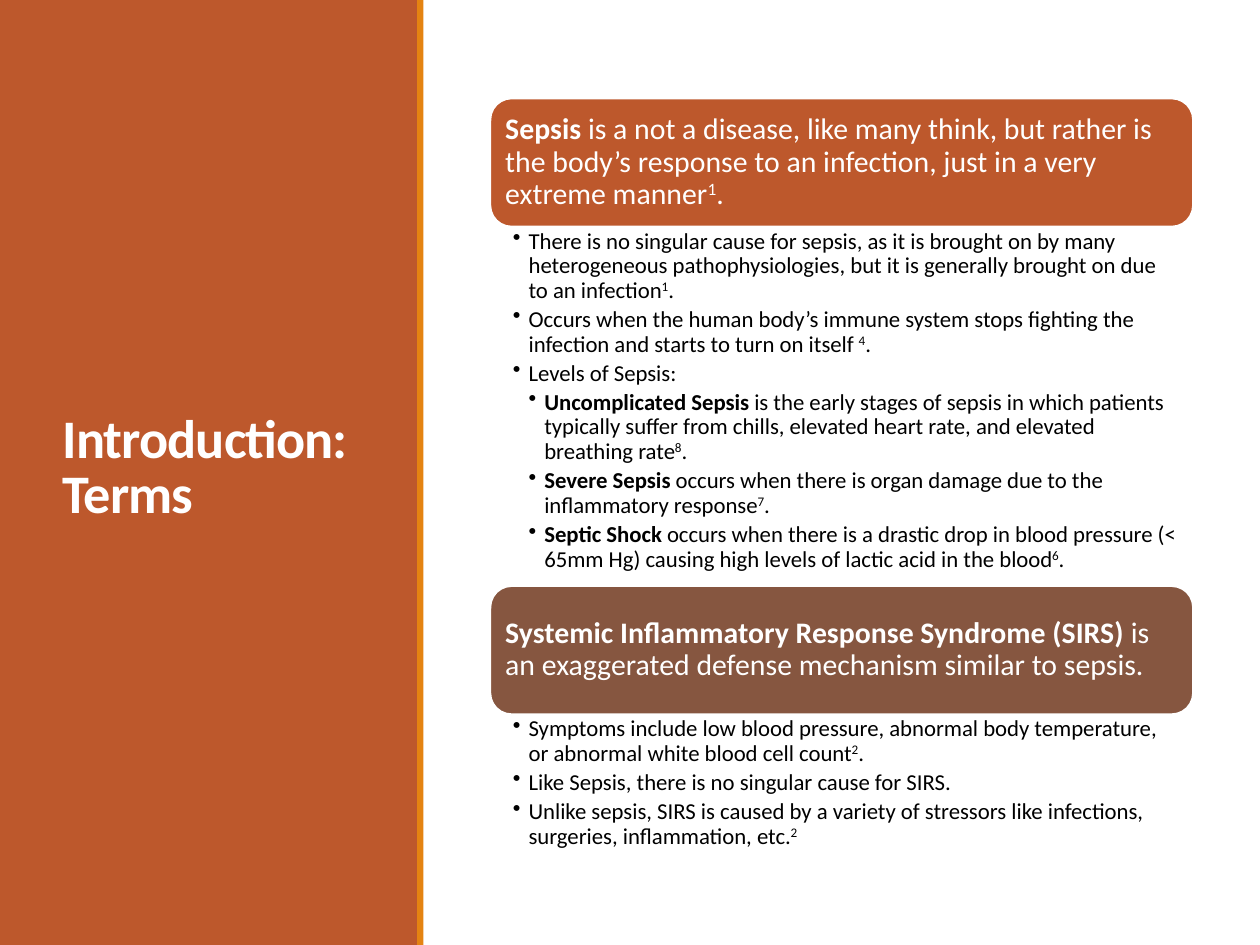
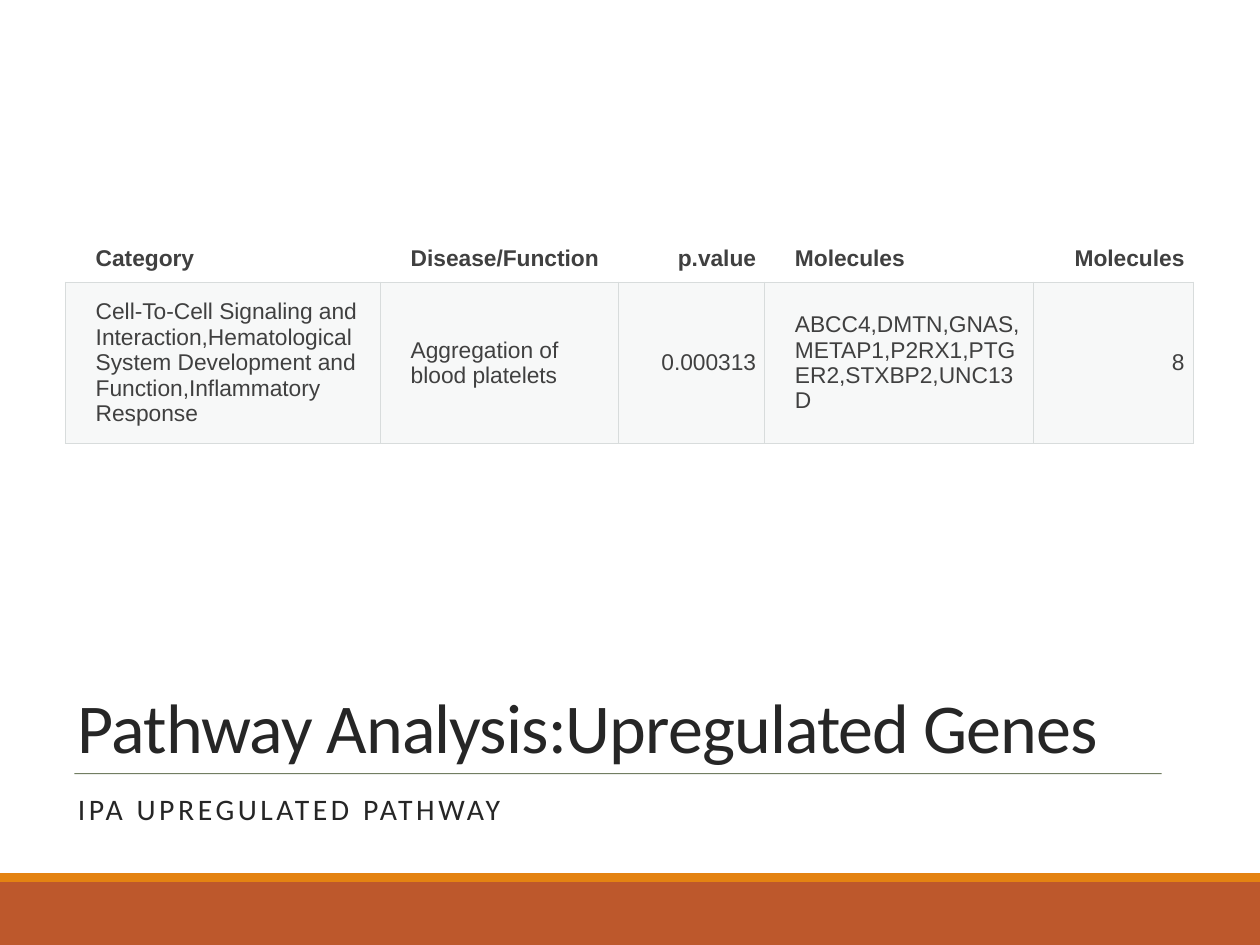
import pptx
import pptx.dml.color
import pptx.enum.shapes
import pptx.enum.text
import pptx.oxml.ns
import pptx.util
from lxml import etree

Inches = pptx.util.Inches
Pt = pptx.util.Pt
RGBColor = pptx.dml.color.RGBColor
Shape = pptx.enum.shapes.MSO_SHAPE
Anchor = pptx.enum.text.MSO_ANCHOR
Align = pptx.enum.text.PP_ALIGN
qn = pptx.oxml.ns.qn

RUST = RGBColor(0xBD, 0x58, 0x2C)
GOLD = RGBColor(0xE4, 0x83, 0x12)
BROWN = RGBColor(0x86, 0x56, 0x40)
WHITE = RGBColor(0xFF, 0xFF, 0xFF)
BLACK = RGBColor(0, 0, 0)
DARK = RGBColor(0x26, 0x26, 0x26)
GRAY = RGBColor(0x40, 0x40, 0x40)
OLIVE = RGBColor(0x63, 0x70, 0x52)
MIST = RGBColor(0xD8, 0xDE, 0xDC)
EDGE = RGBColor(0xD8, 0xDC, 0xDC)

SIDES = ("margin_left", "margin_top", "margin_right", "margin_bottom")

TERMS = [
    (RUST, 0.78, 2.85,
     "*Sepsis* is a not a disease, like many think, but rather is the body’s "
     "response to an infection, just in a very extreme manner^1^.",
     [(1, "There is no singular cause for sepsis, as it is brought on by many "
          "heterogeneous pathophysiologies, but it is generally brought on due "
          "to an infection^1^."),
      (1, "Occurs when the human body’s immune system stops fighting the "
          "infection and starts to turn on itself ^4^."),
      (1, "Levels of Sepsis:"),
      (2, "*Uncomplicated Sepsis* is the early stages of sepsis in which "
          "patients typically suffer from chills, elevated heart rate, and "
          "elevated breathing rate^8^."),
      (2, "*Severe Sepsis* occurs when there is organ damage due to the "
          "inflammatory response^7^."),
      (2, "*Septic Shock* occurs when there is a drastic drop in blood "
          "pressure (< 65mm Hg) causing high levels of lactic acid in the "
          "blood^6^.")]),
    (BROWN, 4.65, 1.14,
     "*Systemic Inflammatory Response Syndrome (SIRS)* is an exaggerated "
     "defense mechanism similar to sepsis.",
     [(1, "Symptoms include low blood pressure, abnormal body temperature, or "
          "abnormal white blood cell count^2^."),
      (1, "Like Sepsis, there is no singular cause for SIRS."),
      (1, "Unlike sepsis, SIRS is caused by a variety of stressors like "
          "infections, surgeries, inflammation, etc.^2^")]),
]

WIDTHS = [2.5, 1.89, 1.16, 2.13, 1.27]
HEIGHTS = [0.42, 1.28]
NUMBERS = (2, 4)
ROWS = [
    ["Category", "Disease/Function", "p.value", "Molecules", "Molecules"],
    ["Cell-To-Cell Signaling and Interaction,Hematological System Development "
     "and Function,Inflammatory Response",
     "Aggregation of blood platelets", "0.000313",
     "ABCC4,DMTN,GNAS,METAP1,P2RX1,PTGER2,STXBP2,UNC13D", "8"],
]


def assign(item, **values):
    for name, value in values.items():
        setattr(item, name, value)


def fade(parent, share):
    color = next(parent.iter(qn("a:srgbClr")))
    etree.SubElement(color, qn("a:alpha"), val=str(share * 1000))


class Deck:
    def __init__(self):
        self.show = pptx.Presentation()
        assign(self.show, slide_width=Inches(10), slide_height=Inches(7.5))
        self.slide = None

    def add(self):
        self.slide = self.show.slides.add_slide(self.show.slide_layouts[6])

    def inset(self, item, sizes):
        assign(item, **{side: Inches(size) for side, size in zip(SIDES, sizes)})

    def fill_para(self, para, text, font, space=0, **layout):
        assign(para, **layout)
        for i, part in enumerate(text.split("*")):
            for j, piece in enumerate(part.split("^")):
                if not piece:
                    continue
                run = para.add_run()
                run.text = piece
                assign(run.font, **{"name": "Calibri", "bold": i % 2 == 1, **font["run"]})
                run.font.color.rgb = font["color"]
                props = run._r.get_or_add_rPr()
                if space:
                    props.set("spc", str(int(space * 100)))
                if j % 2:
                    props.set("baseline", "30000")

    def indent(self, para, left, first=0, right=0):
        props = para._p.get_or_add_pPr()
        for name, size in {"marL": left, "indent": first, "marR": right}.items():
            props.set(name, str(Inches(size)))
        return props

    def block(self, color, *box, kind=Shape.RECTANGLE):
        shape = self.slide.shapes.add_shape(kind, *map(Inches, box))
        shape.shadow.inherit = False
        shape.fill.solid()
        shape.fill.fore_color.rgb = color
        shape.line.fill.background()
        return shape

    def bands(self, *boxes):
        for color, box in zip((RUST, GOLD), boxes):
            self.block(color, *box)

    def frame(self, *box):
        frame = self.slide.shapes.add_textbox(*map(Inches, box)).text_frame
        frame.word_wrap = True
        return frame

    def text(self, text, box, size, color, anchor, space, **layout):
        frame = self.frame(*box)
        frame.vertical_anchor = anchor
        font = {"run": {"size": Pt(size), **layout.pop("run", {})}, "color": color}
        self.fill_para(frame.paragraphs[0], text, font, space, **layout)

    def title(self, text, box, size, color, anchor, **run):
        self.text(text, box, size, color, anchor, -0.5, line_spacing=0.85, run=run)

    def card(self, text, color, *box):
        shape = self.block(color, *box, kind=Shape.ROUNDED_RECTANGLE)
        shape.line.color.rgb = WHITE
        shape.line.width = Pt(1.25)
        frame = shape.text_frame
        assign(frame, word_wrap=True, vertical_anchor=Anchor.MIDDLE)
        self.inset(frame, [0.07] * 4)
        self.fill_para(frame.paragraphs[0], text, {"run": {"size": Pt(17)}, "color": WHITE},
                       line_spacing=0.9, alignment=Align.LEFT)

    def bullets(self, items, *box):
        frame = self.frame(*box)
        self.inset(frame, (0.18, 0.02, 0.13, 0.02))
        for i, (level, text) in enumerate(items):
            para = frame.add_paragraph() if i else frame.paragraphs[0]
            self.fill_para(para, text, {"run": {"size": Pt(13)}, "color": BLACK},
                           level=level, line_spacing=0.9, space_after=Pt(2.6))
            props = self.indent(para, 0.125 * level, -0.125)
            etree.SubElement(props, qn("a:buChar"), char="•")

    def rule(self, color, x, y, end):
        line = self.slide.shapes.add_connector(
            pptx.enum.shapes.MSO_CONNECTOR.STRAIGHT, *map(Inches, (x, y, end, y)))
        line.line.color.rgb = color
        line.line.width = Pt(0.5)
        props = line._element.spPr
        fade(props, 90)
        etree.SubElement(props, qn("a:effectLst"))

    def border(self, cell, sides):
        props = cell._tc.get_or_add_tcPr()
        for i, side in enumerate(sides):
            line = etree.Element(qn("a:ln" + side), w=str(Pt(0.75)))
            fill = etree.SubElement(line, qn("a:solidFill"))
            etree.SubElement(fill, qn("a:srgbClr"), val=str(EDGE))
            props.insert(i, line)

    def cell(self, cell, text, head, right):
        self.inset(cell, (0.17, 0.09, 0, 0.09))
        cell.vertical_anchor = Anchor.BOTTOM if head else Anchor.MIDDLE
        para = cell.text_frame.paragraphs[0]
        run = {"size": Pt(13), "name": "Arial", "bold": head}
        self.fill_para(para, text, {"run": run, "color": GRAY},
                       alignment=Align.RIGHT if right else Align.LEFT,
                       space_before=Pt(5), space_after=Pt(5))
        self.indent(para, 0.07, right=0.07)
        if head:
            cell.fill.background()
        else:
            cell.fill.solid()
            cell.fill.fore_color.rgb = MIST
            fade(cell._tc.tcPr, 20)
        self.border(cell, "B" if head else "LRTB")

    def table(self, x, y):
        box = (x, y, sum(WIDTHS), sum(HEIGHTS))
        table = self.slide.shapes.add_table(
            len(ROWS), len(WIDTHS), *map(Inches, box)).table
        assign(table, first_row=False, horz_banding=False)
        for col, width in zip(table.columns, WIDTHS):
            col.width = Inches(width)
        for i, texts in enumerate(ROWS):
            table.rows[i].height = Inches(HEIGHTS[i])
            for j, text in enumerate(texts):
                self.cell(table.cell(i, j), text, i == 0, j in NUMBERS)


def main():
    deck = Deck()

    deck.add()
    deck.bands((0, 0, 3.32, 7.5), (3.31, 0, 0.05, 7.5))
    deck.title("Introduction: Terms", (0.4, 0.57, 2.53, 6.31), 31, WHITE,
               Anchor.MIDDLE, bold=True)
    left, width, height = 3.89, 5.58, 1.02
    for color, top, depth, head, items in TERMS:
        deck.card(head, color, left, top, width, height)
        deck.bullets(items, left, top + height, width, depth)

    deck.add()
    deck.title("Pathway Analysis:Upregulated Genes", (0.52, 4.98, 8.95, 1.16), 40,
               DARK, Anchor.BOTTOM)
    deck.text("IPA UPREGULATED PATHWAY", (0.52, 6.26, 8.96, 0.56), 17, DARK,
              Anchor.TOP, 2, line_spacing=0.9, space_before=Pt(12), space_after=Pt(2))
    deck.rule(OLIVE, 0.59, 6.14, 9.22)
    deck.bands((0, 7, 10, 0.5), (0, 6.93, 10, 0.07))
    deck.table(0.52, 1.82)

    deck.show.save("out.pptx")


if __name__ == "__main__":
    main()
